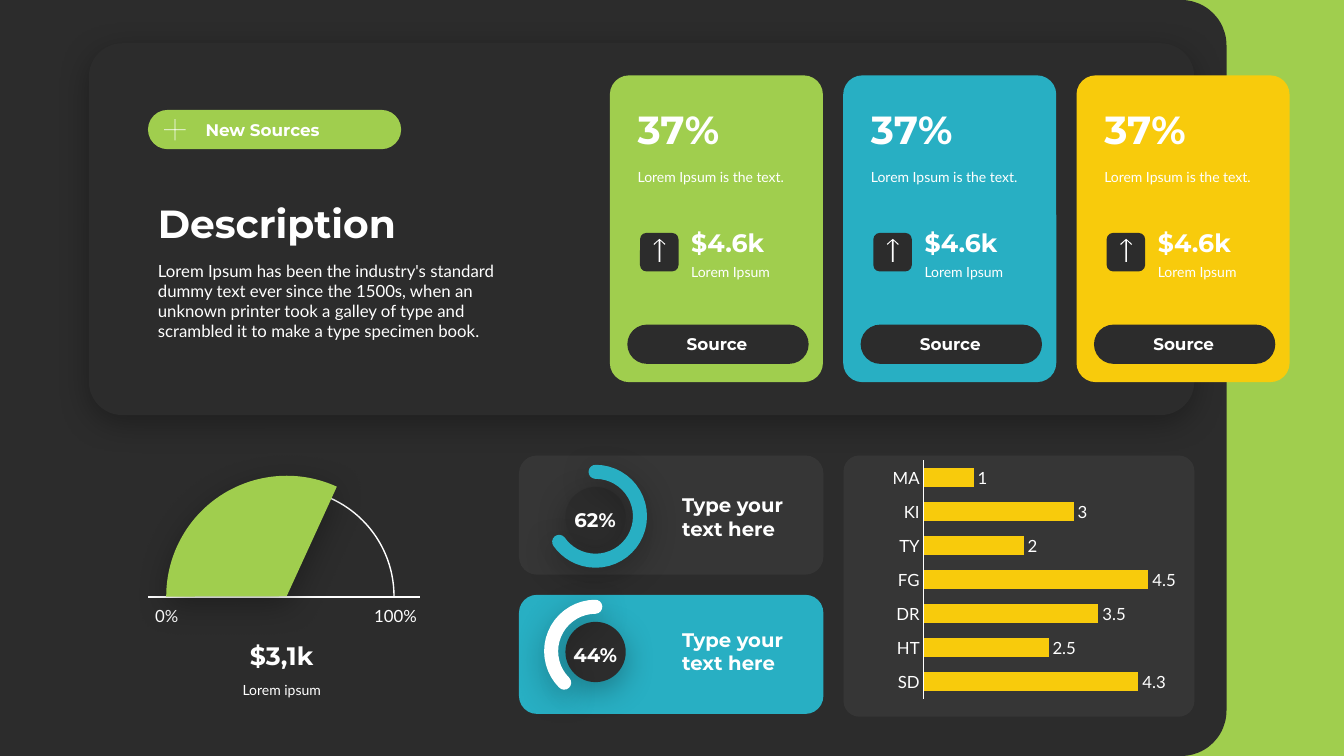
from lxml import etree
from pptx import Presentation
from pptx import util as u
from pptx.chart.data import CategoryChartData
from pptx.dml.color import RGBColor
from pptx.enum import chart as ch, shapes, text
from pptx.oxml.ns import qn

hues = {"dark": "2C2C2C", "green": "A0CE4E", "blue": "28AFC3",
        "gold": "F8CB0C", "white": "FFFFFF", "black": "000000"}
rgb = {name: RGBColor.from_string(code) for name, code in hues.items()}
kind = shapes.MSO_SHAPE
side = text.PP_ALIGN
hold = text.MSO_ANCHOR

deck = Presentation()
deck.slide_width, deck.slide_height = u.Cm(33.87), u.Cm(19.05)
slide = deck.slides.add_slide(deck.slide_layouts[6])
slide.background.fill.solid()
slide.background.fill.fore_color.rgb = rgb["dark"]


def say(words, x, y, w, h, size=10, bold=False, align=side.LEFT,
        anchor=hold.TOP, inset=0.25, edge=0.13, after=0, wrap=True):
    box = slide.shapes.add_textbox(u.Cm(x), u.Cm(y), u.Cm(w), u.Cm(h))
    frame = box.text_frame
    frame.word_wrap = wrap
    frame.auto_size = text.MSO_AUTO_SIZE.SHAPE_TO_FIT_TEXT
    frame.vertical_anchor = anchor
    frame.margin_left = frame.margin_right = u.Cm(inset)
    frame.margin_top = frame.margin_bottom = u.Cm(edge)
    para = frame.paragraphs[0]
    para.alignment = align
    if after:
        para.space_after = u.Pt(after)
    run = para.add_run()
    run.text = words
    run.font.size = u.Pt(size)
    run.font.bold = bold
    run.font.name = "Montserrat" if bold else "Lato"
    run.font.color.rgb = rgb["white"]


def form(shape, x, y, w, h, fill=None, adj=(), alpha=None, line=None,
         thick=1, glow=False):
    item = slide.shapes.add_shape(shape, u.Cm(x), u.Cm(y), u.Cm(w), u.Cm(h))
    item.shadow.inherit = False
    for i, value in enumerate(adj):
        item.adjustments[i] = value
    if fill:
        item.fill.solid()
        item.fill.fore_color.rgb = rgb[fill]
    else:
        item.fill.background()
    props = item._element.spPr
    if alpha:
        tint = props.find(".//" + qn("a:srgbClr"))
        etree.SubElement(tint, qn("a:alpha"), val=str(alpha * 1000))
    if line:
        item.line.color.rgb = rgb[line]
        item.line.width = u.Pt(thick)
        if thick > 1:
            props.find(qn("a:ln")).set("cap", "rnd")
    else:
        item.line.fill.background()
    if glow:
        cast = etree.SubElement(props.find(qn("a:effectLst")), qn("a:outerShdw"),
                                blurRad=str(u.Pt(23)), dist=str(u.Pt(6)),
                                dir="5400000", algn="t", rotWithShape="0")
        ink = etree.SubElement(cast, qn("a:srgbClr"), val=hues["black"])
        etree.SubElement(ink, qn("a:alpha"), val="30000")


form(kind.RECTANGLE, 27.53, 0, 6.34, 19.05, "green")
form(kind.ROUNDED_RECTANGLE, 0, 0, 30.91, 19.05, "dark", [0.06])
form(kind.ROUNDED_RECTANGLE, 2.24, 1.09, 27.86, 9.37, "dark", [0.09], glow=True)

arrow = [(0, 0), (15, 13), (13, 15), (2, 4), (2, 58), (-2, 58), (-2, 4),
         (-13, 15), (-15, 13)]
plus = [(-1, -27), (1, -27), (1, -1), (27, -1), (27, 1), (1, 1), (1, 27),
        (-1, 27), (-1, 1), (-27, 1), (-27, -1), (-1, -1)]
signs = [(plus, 4.41, 3.27)]

for i, hue in enumerate(["green", "blue", "gold"]):
    x = 15.37 + 5.88 * i
    form(kind.ROUNDED_RECTANGLE, x, 1.9, 5.37, 7.73, hue, [0.09])
    say("Lorem Ipsum is the text.", x + 0.45, 4.11, 4.67, 0.69)
    say("37%", x + 0.45, 2.51, 4.78, 1.45, size=28, bold=True,
        anchor=hold.BOTTOM)
    form(kind.ROUNDED_RECTANGLE, x + 0.76, 5.87, 0.97, 0.97, "dark")
    signs.append((arrow, x + 1.25, 6.02))
    say("Lorem Ipsum", x + 2.05, 6.5, 2.64, 0.69, inset=0)
    say("$4.6k", x + 2.05, 5.59, 2.64, 1.02, size=18, bold=True,
        anchor=hold.BOTTOM, inset=0)
    form(kind.ROUNDED_RECTANGLE, x + 0.44, 8.18, 4.57, 0.99, "dark", [0.5])
    say("Source", x + 0.44, 8.28, 4.52, 0.76, size=12, bold=True,
        align=side.CENTER, anchor=hold.MIDDLE)

form(kind.ROUNDED_RECTANGLE, 3.73, 2.77, 6.38, 0.99, "green", [0.5])
say("New Sources", 4.93, 2.9, 5.13, 0.76, size=12, bold=True,
    anchor=hold.MIDDLE)
say("Lorem Ipsum has been the industry's standard dummy text ever since the "
    "1500s, when an unknown printer took a galley of type and scrambled it "
    "to make a type specimen book.", 3.73, 6.43, 9.35, 2.31, size=12)
say("Description", 3.73, 4.9, 9.35, 1.45, size=28, bold=True,
    anchor=hold.BOTTOM)

for points, x, y in signs:
    pen = slide.shapes.build_freeform(*points[0], scale=u.Cm(0.01))
    pen.add_line_segments(points[1:], close=True)
    sign = pen.convert_to_shape(u.Cm(x), u.Cm(y))
    sign.shadow.inherit = False
    sign.fill.solid()
    sign.fill.fore_color.rgb = rgb["white"]
    sign.line.fill.background()

form(kind.ARC, 4.52, 12.32, 5.41, 5.41, adj=[107.89, 0], line="white")
base = slide.shapes.add_connector(shapes.MSO_CONNECTOR.STRAIGHT, u.Cm(3.73),
                                  u.Cm(15.04), u.Cm(10.59), u.Cm(15.04))
base.line.color.rgb = rgb["white"]
base.line.width = u.Pt(1)
etree.SubElement(base._element.spPr, qn("a:effectLst"))
for words, x, w in [("0%", 3.8, 0.8), ("100%", 9.37, 1.2)]:
    say(words, x, 15.27, w, 0.51, size=12, align=side.CENTER,
        anchor=hold.MIDDLE, inset=0, edge=0, wrap=False)
form(kind.ARC, 4.19, 11.99, 6.07, 6.07, "green", [107.89, 176.77], glow=True)
say("Lorem ipsum", 4.04, 17.04, 6.12, 0.69, align=side.CENTER, after=6)
say("$3,1k", 4.04, 16, 6.12, 1.02, size=18, bold=True, align=side.CENTER,
    anchor=hold.BOTTOM, inset=0.2, after=6)

rings = [("62%", "white", 5, "blue", [162, 86.95]),
         ("44%", "blue", None, "white", [80.95, 161.79])]
for i, (share, back, alpha, hue, span) in enumerate(rings):
    y = 3.4 * i
    form(kind.ROUNDED_RECTANGLE, 13.08, 11.48 + 3.51 * i, 7.67, 3, back,
         [0.15], alpha=alpha)
    form(kind.OVAL, 14.25, 12.27 + y, 1.52, 1.52, "dark", glow=True)
    say(share, 14.15, 12.67 + y, 1.7, 0.86, size=14, bold=True,
        align=side.CENTER, anchor=hold.BOTTOM)
    form(kind.ARC, 13.89, 11.89 + y, 2.24, 2.24, adj=span, line=hue,
         thick=10, glow=True)
    say("Type your text here", 16.94, 12.29 + y, 3.3, 1.45, size=14,
        bold=True, anchor=hold.MIDDLE)

form(kind.ROUNDED_RECTANGLE, 21.26, 11.48, 8.84, 6.58, "white", [0.06], alpha=5)
data = CategoryChartData()
data.categories = ["SD", "HT", "DR", "FG", "TY", "KI", "MA"]
data.add_series("Series 1", [4.3, 2.5, 3.5, 4.5, 2, 3, 1])
chart = slide.shapes.add_chart(ch.XL_CHART_TYPE.BAR_CLUSTERED, u.Cm(22.35),
                               u.Cm(11.48), u.Cm(7.37), u.Cm(6.25), data).chart
chart.has_legend = False
chart.has_title = False
chart.font.size = u.Pt(10)
cats, scale = chart.category_axis, chart.value_axis
scale.visible = False
scale.has_major_gridlines = False
scale.minimum_scale, scale.maximum_scale = 0, 5
cats.major_tick_mark = ch.XL_TICK_MARK.NONE
cats.format.line.color.rgb = rgb["white"]
cats.format.line.width = u.Pt(0.75)
plot = chart.plots[0]
plot.gap_width = 75
plot.vary_by_categories = False
plot.has_data_labels = True
tags = plot.data_labels
tags.show_value = True
tags.position = ch.XL_LABEL_POSITION.OUTSIDE_END
for font in (cats.tick_labels.font, tags.font):
    font.size = u.Pt(12)
for font in (chart.font, cats.tick_labels.font, tags.font):
    font.name = "Lato"
    font.color.rgb = rgb["white"]
bars = plot.series[0]
bars.format.fill.solid()
bars.format.fill.fore_color.rgb = rgb["gold"]

deck.save("out.pptx")
